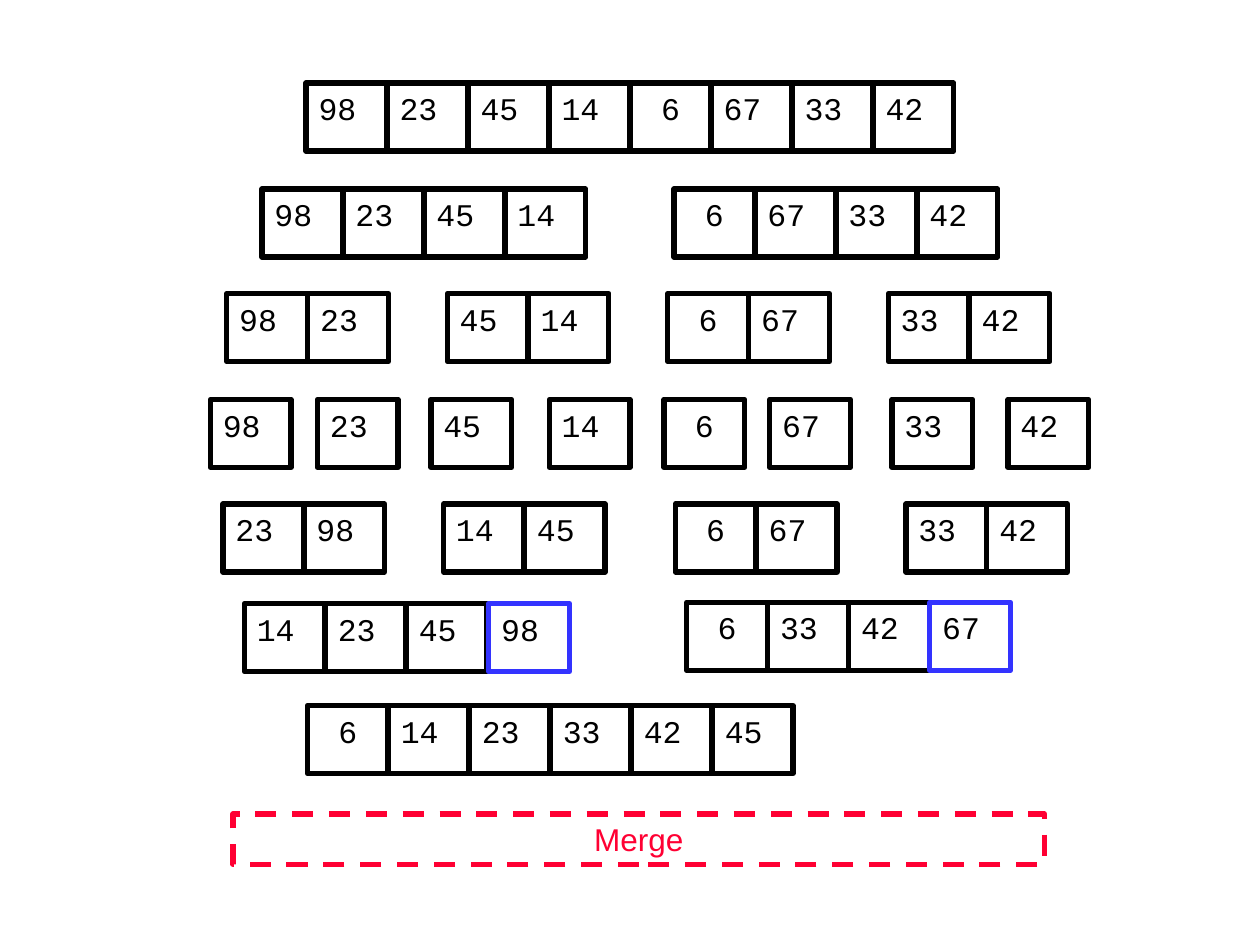
from pptx import Presentation
from pptx.dml.color import RGBColor
from pptx.enum.dml import MSO_LINE
from pptx.enum.shapes import MSO_SHAPE
from pptx.enum.text import MSO_ANCHOR, MSO_AUTO_SIZE, PP_ALIGN
from pptx.util import Inches, Pt

RECT = MSO_SHAPE.RECTANGLE
TOP = MSO_ANCHOR.TOP
LEFT, CENTER = PP_ALIGN.LEFT, PP_ALIGN.CENTER
DASH = MSO_LINE.DASH
GROW = MSO_AUTO_SIZE.SHAPE_TO_FIT_TEXT

COLORS = {"ink": "000000", "last": "3333FF", "merge": "FF0033"}
CELL_W, CELL_H = 0.64, 0.54
PITCH = 4.5 / 7  # eight touching cells span seven steps

# Each row: top, then runs of touching cells as (left, values)
ROWS = [
    (0.66, [(2.43, [98, 23, 45, 14, 6, 67, 33, 42])]),
    (1.5, [(2.08, [98, 23, 45, 14]), (5.35, [6, 67, 33, 42])]),
    (2.33, [(1.8, [98, 23]), (3.55, [45, 14]), (5.3, [6, 67]), (7.05, [33, 42])]),
    (3.17, [(1.67, [98]), (2.52, [23]), (3.42, [45]), (4.36, [14]),
            (5.27, [6]), (6.11, [67]), (7.08, [33]), (8, [42])]),
    (4, [(1.77, [23, 98]), (3.52, [14, 45]), (5.36, [6, 67]), (7.19, [33, 42])]),
    (4.79, [(1.94, [14, 23, 45])]),
    (4.78, [(5.45, [6, 33, 42])]),
    (5.6, [(2.44, [6, 14, 23, 33, 42, 45])]),
]
# Cells still to be merged: left, top, value
LAST = [(3.88, 4.79, 98), (7.38, 4.78, 67)]


def add_box(slide, left, top, width, height, color):
    box = slide.shapes.add_shape(
        RECT, Inches(left), Inches(top), Inches(width), Inches(height))
    box.shadow.inherit = False
    box.fill.background()
    box.line.color.rgb = RGBColor.from_string(COLORS[color])
    box.line.width = Pt(3)
    return box


def put_text(box, text, font="Courier New", color="ink", align=LEFT, wrap=False):
    frame = box.text_frame
    frame.word_wrap = wrap
    frame.vertical_anchor = TOP
    para = frame.paragraphs[0]
    para.alignment = align
    run = para.add_run()
    run.text = text
    run.font.name = font
    run.font.size = Pt(18)
    run.font.color.rgb = RGBColor.from_string(COLORS[color])


def add_cell(slide, left, top, value, color="ink"):
    box = add_box(slide, left, top, CELL_W, CELL_H, color)
    put_text(box, str(value), align=CENTER if value < 10 else LEFT)


def add_run(slide, left, top, values):
    for i, value in enumerate(values):
        add_cell(slide, left + i * PITCH, top, value)


def add_banner(slide, text):
    box = add_box(slide, 1.85, 6.46, 6.44, 0.4, "merge")
    box.line.dash_style = DASH
    put_text(box, text, font="Arial", color="merge", align=CENTER, wrap=True)
    box.text_frame.auto_size = GROW


def main():
    prs = Presentation()
    prs.slide_width, prs.slide_height = Inches(10), Inches(7.5)
    slide = prs.slides.add_slide(prs.slide_layouts[6])

    # Split and merge steps
    for top, runs in ROWS:
        for left, values in runs:
            add_run(slide, left, top, values)

    # Highlighted cells lie over their neighbours
    for left, top, value in LAST:
        add_cell(slide, left, top, value, color="last")

    # Name of the current step
    add_banner(slide, "Merge")
    prs.save("out.pptx")


if __name__ == "__main__":
    main()
